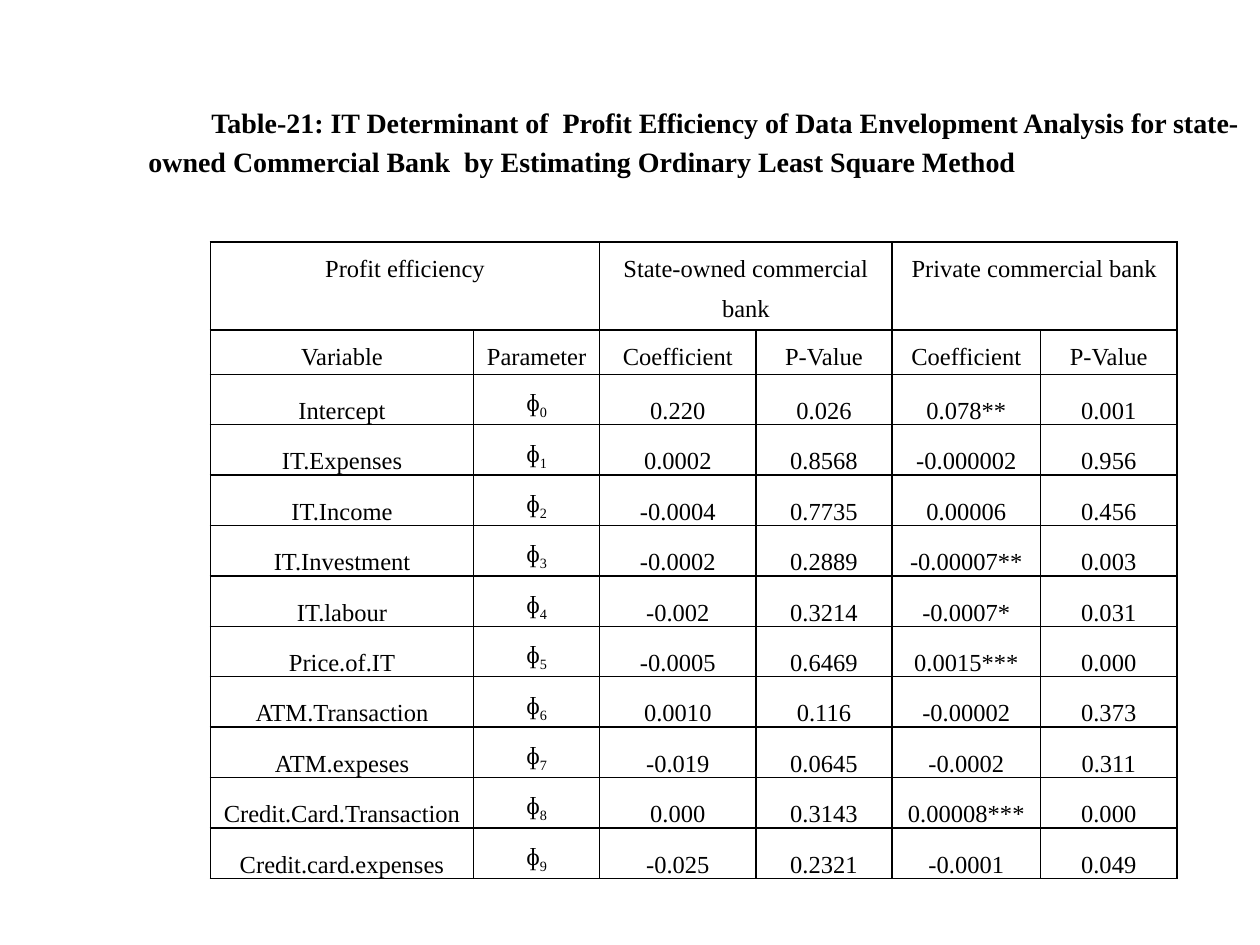
from lxml.etree import SubElement
from pptx import Presentation
from pptx.dml.color import RGBColor
from pptx.enum.text import MSO_ANCHOR as Anchor, PP_ALIGN as Align
from pptx.oxml.ns import qn
from pptx.util import Inches, Pt

BLACK = RGBColor(0x00, 0x00, 0x00)
FONT = "Times New Roman"
TITLE = ("Table-21: IT Determinant of  Profit Efficiency of Data Envelopment Analysis "
         "for state-owned Commercial Bank  by Estimating Ordinary Least Square Method")
GROUPS = ["Profit efficiency", "State-owned commercial bank", "Private commercial bank"]
HEADINGS = ["Variable", "Parameter"] + ["Coefficient", "P-Value"] * 2
ESTIMATES = [
    ("Intercept", "0.220", "0.026", "0.078**", "0.001"),
    ("IT.Expenses", "0.0002", "0.8568", "-0.000002", "0.956"),
    ("IT.Income", "-0.0004", "0.7735", "0.00006", "0.456"),
    ("IT.Investment", "-0.0002", "0.2889", "-0.00007**", "0.003"),
    ("IT.labour", "-0.002", "0.3214", "-0.0007*", "0.031"),
    ("Price.of.IT", "-0.0005", "0.6469", "0.0015***", "0.000"),
    ("ATM.Transaction", "0.0010", "0.116", "-0.00002", "0.373"),
    ("ATM.expeses", "-0.019", "0.0645", "-0.0002", "0.311"),
    ("Credit.Card.Transaction", "0.000", "0.3143", "0.00008***", "0.000"),
    ("Credit.card.expenses", "-0.025", "0.2321", "-0.0001", "0.049"),
]
COLUMN_WIDTHS = [2.09, 1, 1.24, 1.08, 1.18, 1.08]
ROW_HEIGHTS = [0.7, 0.35] + [0.4] * len(ESTIMATES)


def format_paragraph(paragraph, size, line_spacing, bold=False):
    paragraph.line_spacing = line_spacing
    paragraph.space_after = Pt(10)
    for run in paragraph.runs:
        run.font.name = FONT
        run.font.size = Pt(size)
        run.font.bold = bold
        run.font.color.rgb = BLACK


def add_borders(cell):
    properties = cell._tc.get_or_add_tcPr()
    for side in ("lnL", "lnR", "lnT", "lnB"):
        line = SubElement(properties, qn(f"a:{side}"), w=str(Pt(1)))
        fill = SubElement(line, qn("a:solidFill"))
        SubElement(fill, qn("a:srgbClr"), val=str(BLACK))


prs = Presentation()
prs.slide_width, prs.slide_height = Inches(10), Inches(7.5)
slide = prs.slides.add_slide(prs.slide_layouts[6])

# Title with an indented first line
title = slide.shapes.add_textbox(Inches(1.08), Inches(0.75), Inches(8.92), Inches(0.72))
title.text_frame.word_wrap = True
title.text_frame.text = TITLE
heading = title.text_frame.paragraphs[0]
heading_properties = heading._p.get_or_add_pPr()
heading_properties.set("marL", "0")
heading_properties.set("indent", str(Inches(0.5)))
format_paragraph(heading, 16, 1.15, bold=True)

# Table grid
estimates_table = slide.shapes.add_table(
    len(ROW_HEIGHTS), len(COLUMN_WIDTHS), Inches(1.67), Inches(1.92),
    Inches(sum(COLUMN_WIDTHS)), Inches(sum(ROW_HEIGHTS))).table
estimates_table.first_row = False
estimates_table.horz_banding = False
for column, width in zip(estimates_table.columns, COLUMN_WIDTHS):
    column.width = Inches(width)
for row, height in zip(estimates_table.rows, ROW_HEIGHTS):
    row.height = Inches(height)

# Group headings, each over two columns
group_row = []
for i, group in enumerate(GROUPS):
    estimates_table.cell(0, 2 * i).merge(estimates_table.cell(0, 2 * i + 1))
    group_row += [group, ""]

# Cell contents
rows = [group_row, HEADINGS] + [(name, "ɸ", *values) for name, *values in ESTIMATES]
for r, texts in enumerate(rows):
    for c, text in enumerate(texts):
        cell = estimates_table.cell(r, c)
        cell.margin_left = cell.margin_right = Inches(0.07)
        cell.margin_top = cell.margin_bottom = 0
        is_estimate = r >= 2
        is_parameter = is_estimate and c == 1
        cell.vertical_anchor = Anchor.BOTTOM if is_estimate and not is_parameter else Anchor.TOP
        add_borders(cell)
        cell.fill.background()
        cell.text_frame.text = text
        paragraph = cell.text_frame.paragraphs[0]
        paragraph.alignment = Align.CENTER
        if is_parameter:
            subscript = paragraph.add_run()
            subscript.text = str(r - 2)
            subscript.font._element.set("baseline", "-25000")
        format_paragraph(paragraph, 14, 1.5)

prs.save("out.pptx")
